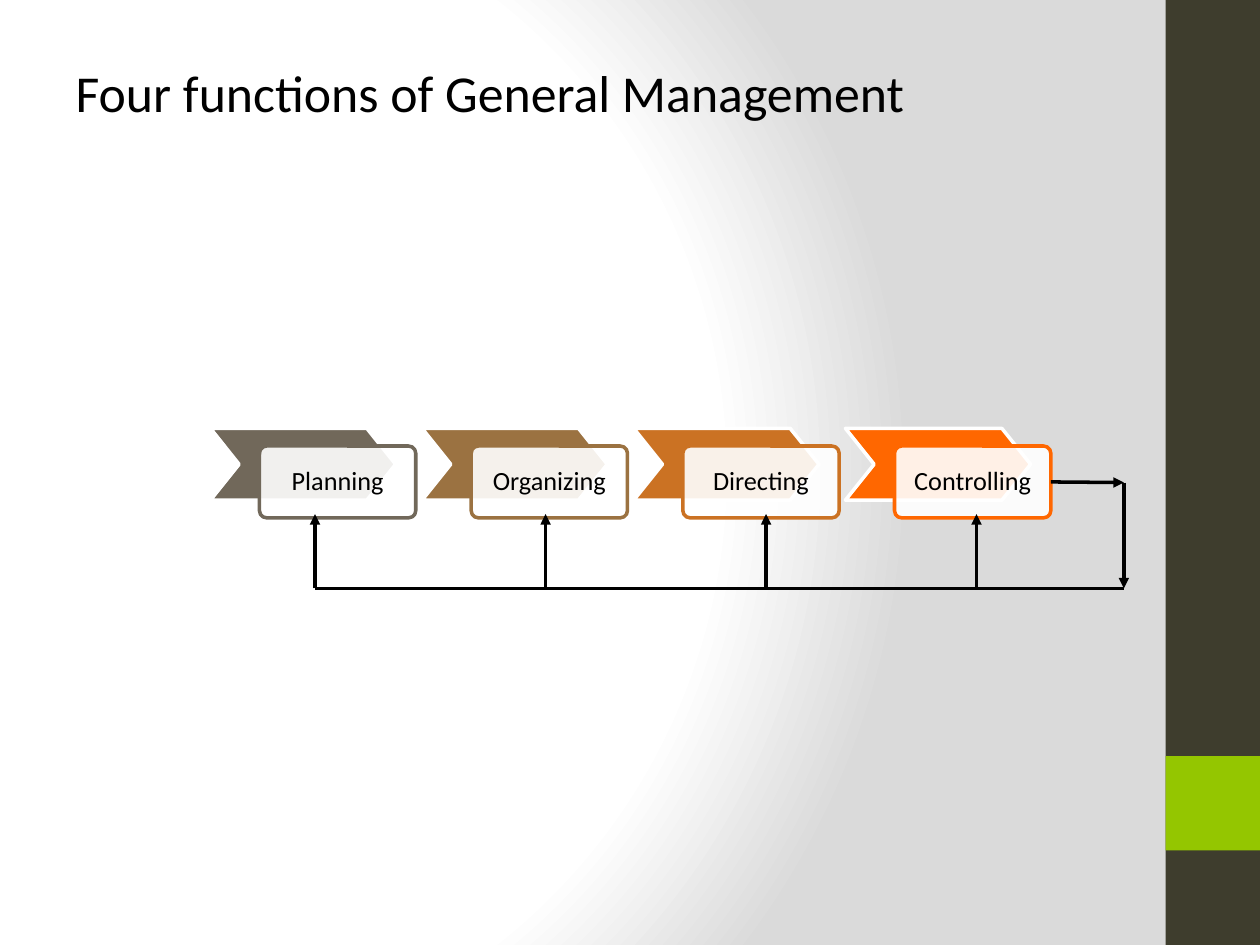
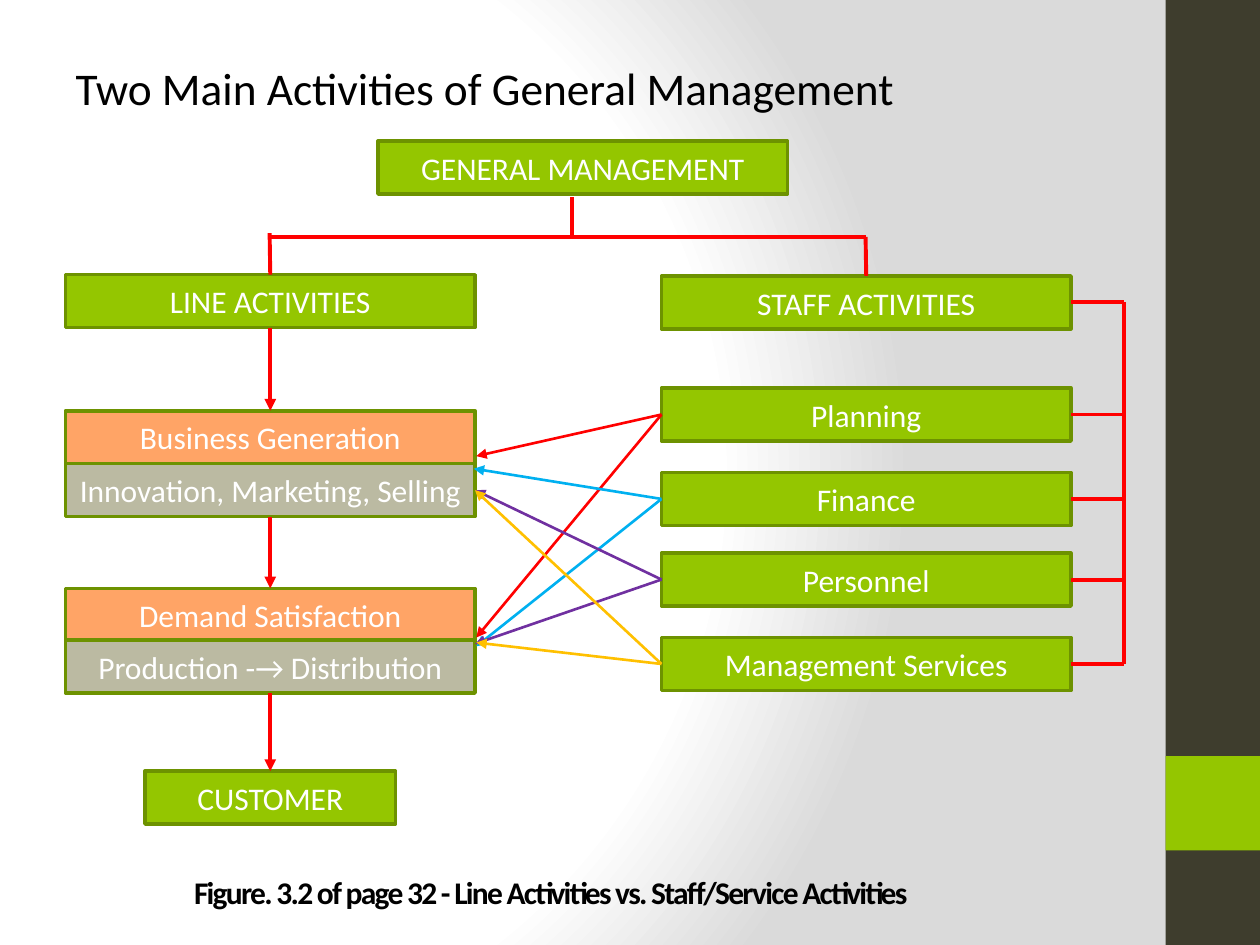
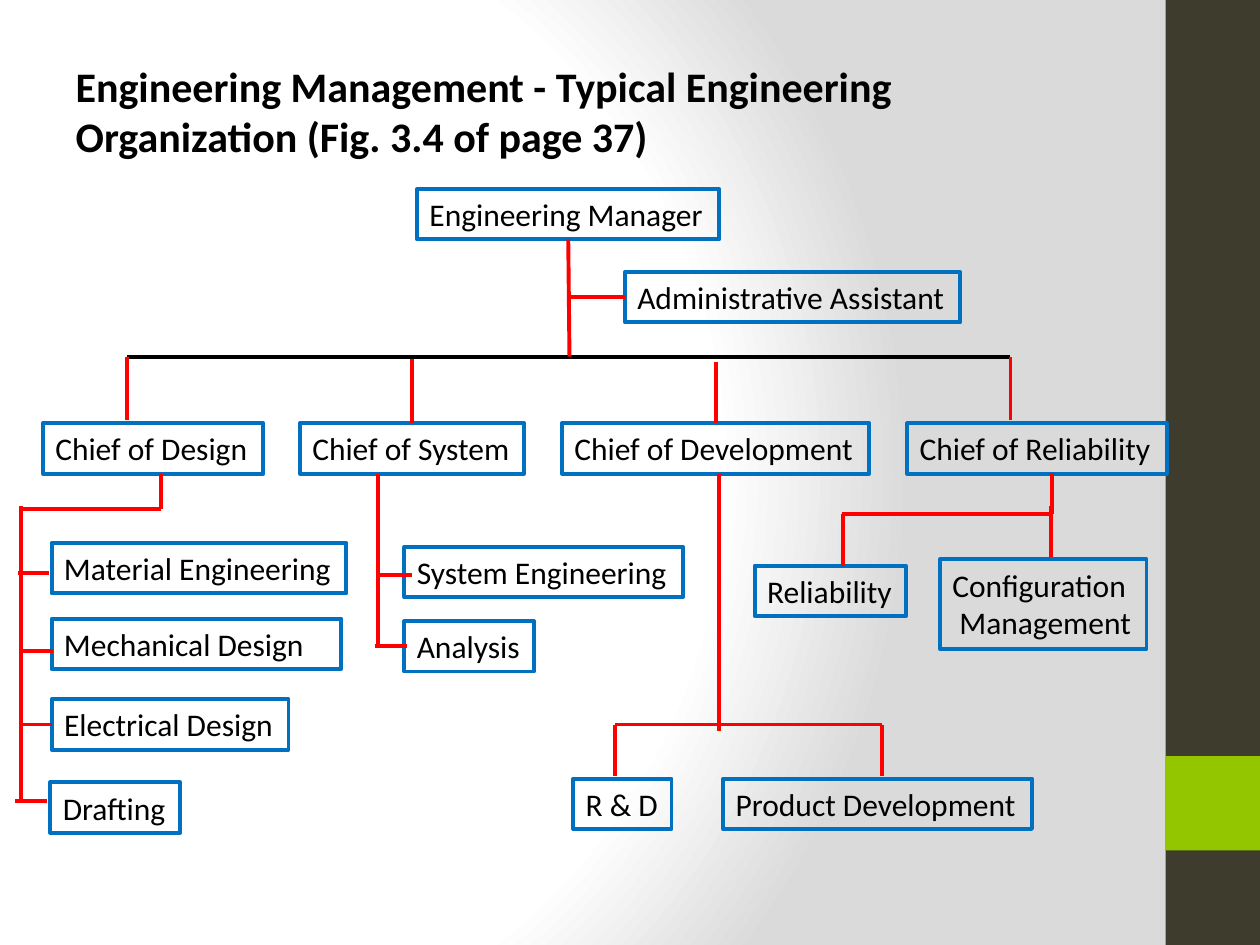
"""Build three slides on general and engineering management."""
from dataclasses import dataclass

from pptx import Presentation, oxml, util as u
from pptx.dml.color import RGBColor
from pptx.enum import shapes, text
from pptx.oxml import ns

RECT = shapes.MSO_SHAPE.RECTANGLE
TOP, LEFT, BOTTOM, RIGHT = range(4)


@dataclass(frozen=True)
class Theme:
    """Colours, type sizes and line widths."""
    font: str = "Calibri"
    black: str = "000000"
    white: str = "FFFFFF"
    shade: str = "DADADA"
    band: str = "3E3D2D"
    green: str = "94C600"
    dark_green: str = "6D9200"
    peach: str = "FFA466"
    stone: str = "BBBAA2"
    blue: str = "0070C0"
    red: str = "FF0000"
    sky: str = "00B0F0"
    purple: str = "7030A0"
    amber: str = "FFC000"
    steps: tuple = ("71685A", "9B7241", "CB7223", "FF6700")
    cycle_title: float = 29.6
    activity_title: float = 25.9
    chart_title: float = 24
    step_size: float = 15
    body_size: float = 18
    edge: float = 2
    rule: float = 2.25
    thin: float = 1.5


class Deck:
    """Hold the style and the current slide."""

    def __init__(self, theme):
        self.theme = theme
        self.show = Presentation()
        self.show.slide_width, self.show.slide_height = u.Inches(10), u.Inches(7.5)
        self.slide = None
        self.paint_background()

    def paint_background(self):
        """Give the master its radial gradient."""
        t, master = self.theme, self.show.slide_master
        master.background.fill.solid()
        stops = "".join(
            f'<a:gs pos="{place * 1000}"><a:srgbClr val="{color}"/></a:gs>'
            for place, color in ((0, t.white), (75, t.white), (100, t.shade)))
        gradient = oxml.parse_xml(
            f'<a:gradFill {ns.nsdecls("a")} rotWithShape="1"><a:gsLst>{stops}</a:gsLst>'
            '<a:path path="circle"><a:fillToRect l="20000" t="50000" r="100000" b="50000"/>'
            '</a:path></a:gradFill>')
        holder = master._element.cSld.bg.bgPr
        holder.replace(holder[0], gradient)

    def paint_bands(self):
        """Put the side bands on the master."""
        t, tree = self.theme, self.show.slide_master.shapes._spTree
        for place, (top, height, color) in enumerate(((0, 7.5, t.band), (6, 0.75, t.green))):
            band = self.shape(RECT, (9.25, top, 0.75, height), color)
            tree.insert(2 + place, band._element)

    def page(self, heading, size, width=6.92, bold=False):
        """Start a slide with its heading."""
        first = self.slide is None
        self.slide = self.show.slides.add_slide(self.show.slide_layouts[5])
        if first:
            self.paint_bands()
        title = self.slide.shapes.title
        title.left, title.top, title.width, title.height = map(
            u.Inches, (0.5, 0.43, width, 0.83))
        self.letter(title, heading, size, self.theme.black, bold=bold)

    def letter(self, holder, words, size, color, align=text.PP_ALIGN.LEFT,
               anchor=text.MSO_ANCHOR.TOP, bold=False, wrap=True):
        """Fill a shape with evenly styled text."""
        frame = holder.text_frame
        frame.text = words
        frame.word_wrap, frame.vertical_anchor = wrap, anchor
        frame.auto_size = text.MSO_AUTO_SIZE.NONE
        for paragraph in frame.paragraphs:
            paragraph.alignment = align
            font = paragraph.font
            font.name, font.size, font.bold = self.theme.font, u.Pt(size), bold
            font.color.rgb = RGBColor.from_string(color)
        return frame

    def shape(self, kind, at, fill=None, edge=None, width=None, adjust=None):
        """Draw a preset shape."""
        item = self.slide.shapes.add_shape(kind, *map(u.Inches, at))
        item.shadow.inherit = False
        if fill:
            item.fill.solid()
            item.fill.fore_color.rgb = RGBColor.from_string(fill)
        else:
            item.fill.background()
        if edge:
            item.line.color.rgb = RGBColor.from_string(edge)
            item.line.width = u.Pt(width or self.theme.edge)
        else:
            item.line.fill.background()
        if adjust:
            item.adjustments[0] = adjust
        return item

    def step(self, left, words, color):
        """Draw a chevron with its overlapping card."""
        t = self.theme
        self.shape(shapes.MSO_SHAPE.CHEVRON, (left, 3.4, 1.47, 0.57), color, t.white, adjust=0.4)
        card = self.shape(shapes.MSO_SHAPE.ROUNDED_RECTANGLE, (left + 0.39, 3.54, 1.24, 0.57),
                          t.white, color, adjust=0.1)
        tint = card._element.spPr.find(ns.qn("a:solidFill"))[0]
        tint.append(oxml.parse_xml(f'<a:alpha {ns.nsdecls("a")} val="90000"/>'))
        frame = self.letter(card, words, t.step_size, t.black, text.PP_ALIGN.CENTER,
                            text.MSO_ANCHOR.MIDDLE, wrap=False)
        frame.paragraphs[0].line_spacing = 0.9
        return card

    def block(self, left, top, words, fill=None, width=3.25):
        """Draw a filled box with centred text."""
        t = self.theme
        item = self.shape(RECT, (left, top, width, 0.42), fill or t.green, t.dark_green)
        self.letter(item, words, t.body_size, t.white, text.PP_ALIGN.CENTER,
                    text.MSO_ANCHOR.MIDDLE)
        return item

    def node(self, left, top, width, words, height=0.4, wrap=False):
        """Draw an outlined box that fits its text."""
        t = self.theme
        item = self.shape(RECT, (left, top, width, height), edge=t.blue, width=t.rule)
        frame = self.letter(item, words, t.body_size, t.black, wrap=wrap)
        frame.auto_size = text.MSO_AUTO_SIZE.SHAPE_TO_FIT_TEXT
        return item

    def caption(self, words):
        """Set the tightly spaced figure caption."""
        t = self.theme
        box = self.slide.shapes.add_textbox(*map(u.Inches, (0.58, 6.88, 7.58, 0.42)))
        frame = self.letter(box, words, t.body_size, t.black, text.PP_ALIGN.CENTER, bold=True)
        frame.paragraphs[0].font._rPr.set("spc", "-100")

    def link(self, start, end, color=None, width=None, arrow=False):
        """Join two ends, each a point or a shape with a side."""
        t = self.theme
        glued = [not isinstance(stop[0], (int, float)) for stop in (start, end)]
        points = [(stop[0].left, stop[0].top) if joined else tuple(map(u.Inches, stop))
                  for stop, joined in zip((start, end), glued)]
        line = self.slide.shapes.add_connector(
            shapes.MSO_CONNECTOR.STRAIGHT, *points[0], *points[1])
        if glued[0]:
            line.begin_connect(*start)
        if glued[1]:
            line.end_connect(*end)
        line.line.color.rgb = RGBColor.from_string(color or t.red)
        line.line.width = u.Pt(width or t.rule)
        if arrow:
            line.line._get_or_add_ln().append(
                oxml.parse_xml(f'<a:tailEnd {ns.nsdecls("a")} type="triangle"/>'))
        line._element.spPr.append(oxml.parse_xml(f'<a:effectLst {ns.nsdecls("a")}/>'))


def four_functions(deck):
    """Show the management cycle with its feedback loop."""
    t = deck.theme
    deck.page("Four functions of General Management", t.cycle_title)
    names = ("Planning", "Organizing", "Directing", "Controlling")
    cards = [deck.step(1.67 + 1.68 * i, name, color)
             for i, (name, color) in enumerate(zip(names, t.steps))]
    corner, low = (8.92, 3.83), 4.67
    deck.link((2.5, low), (corner[0], low), t.black, t.edge)
    deck.link((cards[-1], RIGHT), corner, t.black, t.edge, arrow=True)
    deck.link(corner, (corner[0], low), t.black, t.edge, arrow=True)
    for x in (2.5, 4.33, 6.08, 7.75):
        deck.link((x, low), (x, 4.08), t.black, t.edge, arrow=True)


def two_activities(deck):
    """Show line activities beside staff activities."""
    t = deck.theme
    deck.page("Two Main Activities of General Management", t.activity_title)
    deck.caption("Figure. 3.2 of page 32 - Line Activities vs. Staff/Service Activities")
    line_left, staff_left, bus, spine = 0.52, 5.25, 1.88, 8.92

    deck.block(3, 1.12, "GENERAL MANAGEMENT")
    line = deck.block(line_left, 2.18, "LINE ACTIVITIES")
    business = deck.block(line_left, 3.26, "Business Generation", t.peach)
    innovation = deck.block(line_left, 3.68, "Innovation, Marketing, Selling", t.stone)
    demand = deck.block(line_left, 4.67, "Demand Satisfaction", t.peach)
    production = deck.block(line_left, 5.08, "Production -→ Distribution", t.stone)
    customer = deck.block(1.15, 6.12, "CUSTOMER", width=1.99)
    staff = deck.block(staff_left, 2.19, "STAFF ACTIVITIES")
    services = [deck.block(staff_left, top, name) for top, name in (
        (3.08, "Planning"), (3.75, "Finance"), (4.39, "Personnel"),
        (5.06, "Management Services"))]

    deck.link((4.54, bus), (4.54, 1.56))
    deck.link((2.14, bus), (6.87, bus))
    deck.link((line, TOP), (2.14, 1.85))
    deck.link((staff, TOP), (6.87, bus))
    for upper, lower in ((line, business), (innovation, demand), (production, customer)):
        deck.link((upper, BOTTOM), (lower, TOP), arrow=True)

    deck.link((spine, 2.4), (spine, 5.27))
    for box in (staff, *services):
        middle = (box.top + box.height / 2) / u.Inches(1)
        deck.link((box, RIGHT), (spine, middle))

    supports = (
        (t.red, (3.78, 3.62), (3.78, 5.06)),
        (t.sky, (3.76, 3.72), (3.78, 5.13)),
        (t.purple, (innovation, RIGHT), (3.77, 5.11)),
        (t.amber, (innovation, RIGHT), (3.78, 5.1)))
    for service, (color, *targets) in zip(services, supports):
        for target in targets:
            deck.link((service, LEFT), target, color, t.thin, arrow=True)


def engineering_organization(deck):
    """Show the engineering organization chart."""
    t = deck.theme
    deck.page("Engineering Management - Typical Engineering Organization (Fig. 3.4 of page 37)",
              t.chart_title, width=8.25, bold=True)
    manager = deck.node(3.31, 1.5, 2.4, "Engineering Manager")
    assistant = deck.node(4.96, 2.16, 2.66, "Administrative Assistant")
    chief_top, bus = 3.36, 2.83
    _, system, development, _ = [
        deck.node(left, chief_top, width, f"Chief of {field}") for left, width, field in (
            (0.34, 1.75, "Design"), (2.38, 1.78, "System"),
            (4.46, 2.44, "Development"), (7.2, 2.06, "Reliability"))]
    deck.node(0.41, 4.31, 2.34, "Material Engineering")
    deck.node(0.41, 4.91, 2.3, "Mechanical Design", wrap=True)
    electrical = deck.node(0.41, 5.55, 1.88, "Electrical Design")
    deck.node(0.4, 6.21, 1.03, "Drafting")
    deck.node(3.21, 4.34, 2.21, "System Engineering")
    deck.node(3.21, 4.93, 1.03, "Analysis")
    deck.node(4.55, 6.18, 0.78, "R & D")
    deck.node(5.74, 6.18, 2.45, "Product Development")
    deck.node(5.99, 4.49, 1.2, "Reliability")
    deck.node(7.46, 4.44, 1.64, "Configuration\n Management", height=0.71)

    deck.link((1.01, bus), (8.02, bus), t.black)
    deck.link((manager, BOTTOM), (4.52, bus))
    deck.link((4.51, 2.36), (assistant, LEFT))
    deck.link((3.27, 2.85), (system, TOP))
    deck.link((5.68, 2.87), (development, TOP))
    deck.link((0.17, 5.75), (electrical, LEFT))

    drops = (
        (1.01, bus, 3.33), (8.02, bus, 3.33),
        (1.28, 3.76, 4.04), (0.17, 4.02, 6.36),
        (3, 3.76, 5.13),
        (5.71, 3.76, 5.8), (4.88, 5.75, 6.16), (7, 5.75, 6.16),
        (8.35, 3.75, 4.08), (8.34, 4.02, 4.42), (6.69, 4.08, 4.49))
    for x, top, bottom in drops:
        deck.link((x, top), (x, bottom))

    branches = ((0.17, 1.28, 4.04), (4.88, 7, 5.75), (6.68, 8.35, 4.08))
    ticks = ((0.14, 4.55), (0.17, 5.17), (0.12, 6.36), (3.02, 4.56), (2.98, 5.13))
    for left, right, y in (*branches, *((x, x + 0.25, y) for x, y in ticks)):
        deck.link((left, y), (right, y))


def main():
    """Build and save the slides."""
    deck = Deck(Theme())
    four_functions(deck)
    two_activities(deck)
    engineering_organization(deck)
    deck.show.save("out.pptx")


if __name__ == "__main__":
    main()
